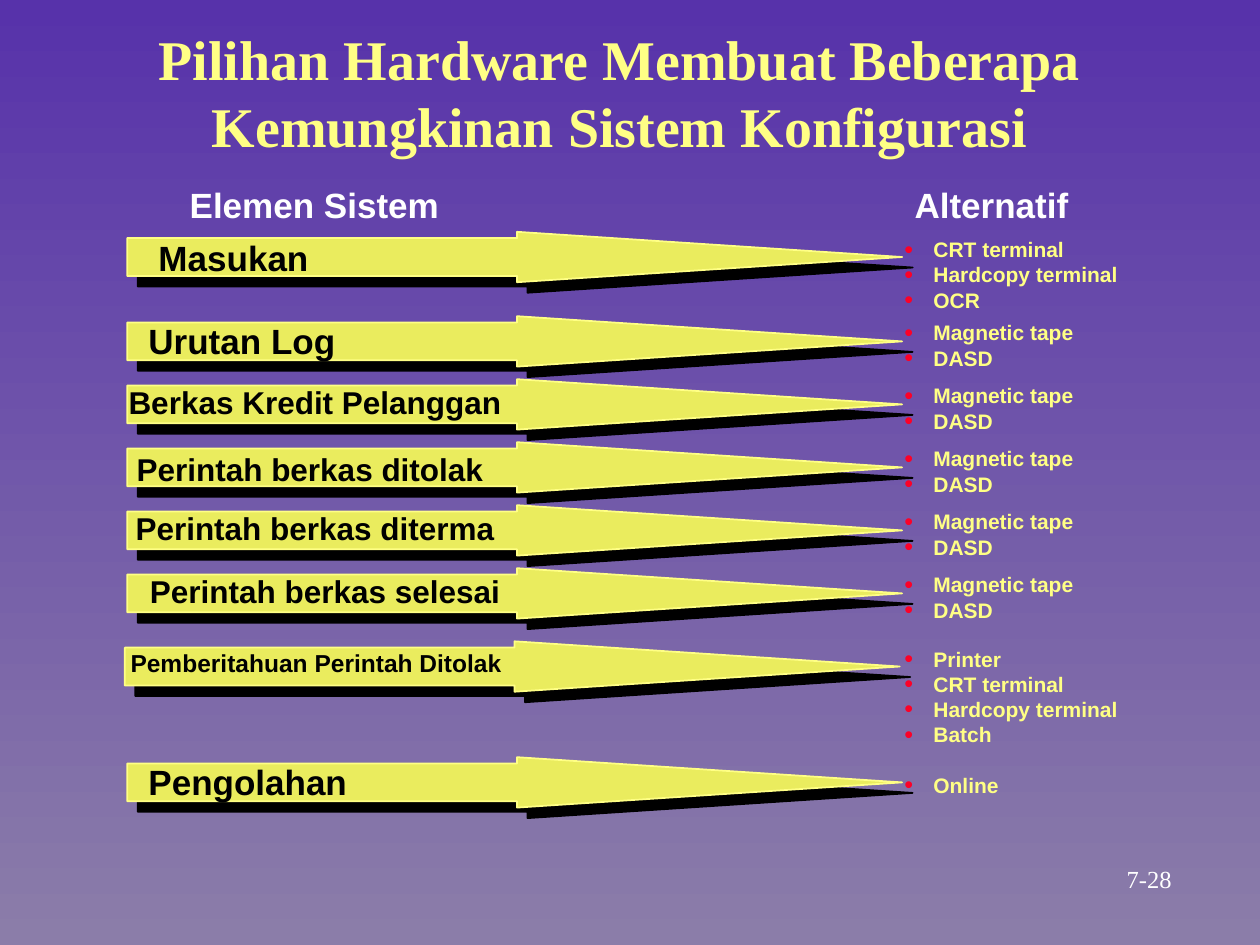
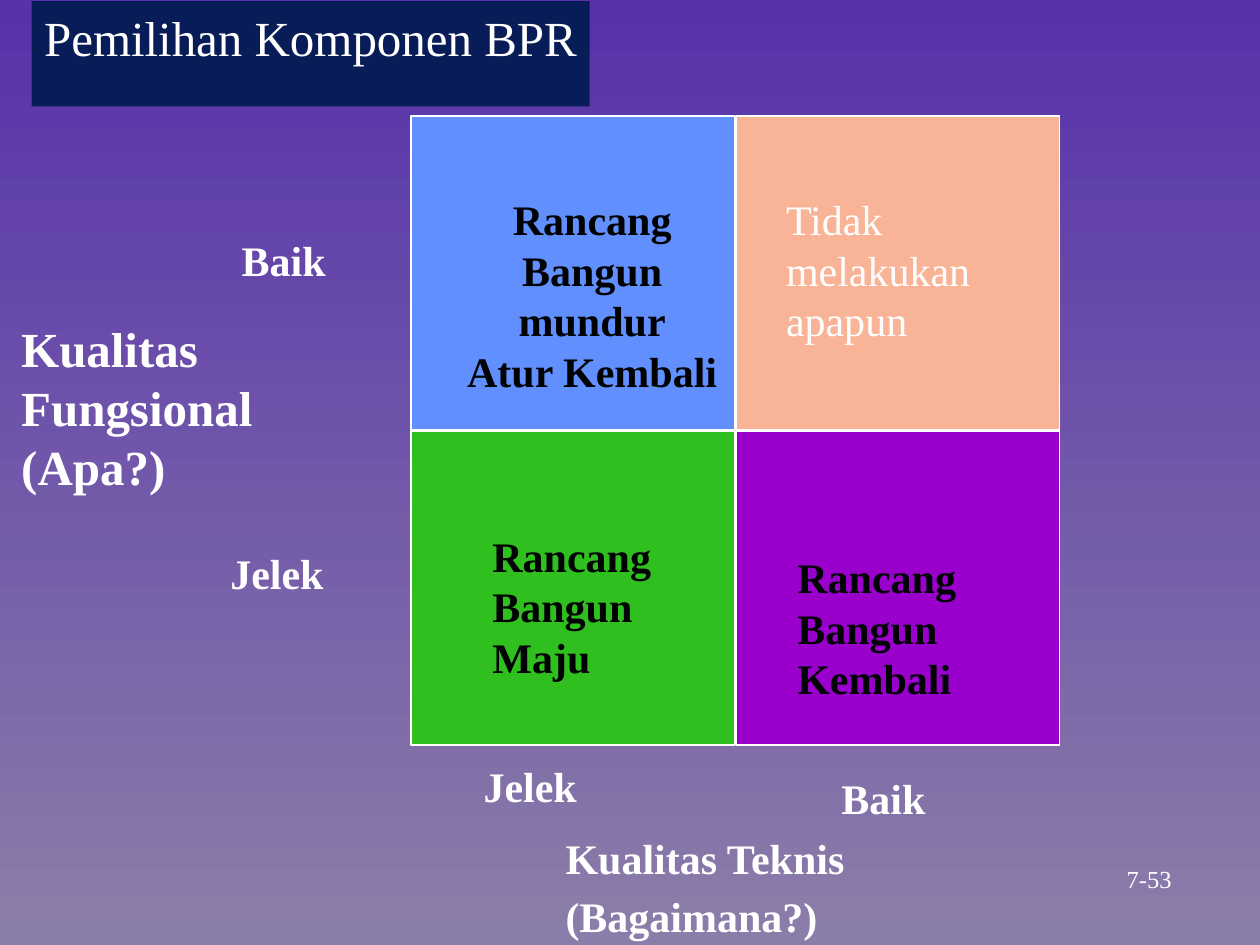
from lxml import etree
from pptx import Presentation
from pptx.dml.color import RGBColor
from pptx.enum.shapes import MSO_SHAPE
from pptx.enum.text import MSO_ANCHOR, MSO_AUTO_SIZE, PP_ALIGN
from pptx.oxml import parse_xml
from pptx.oxml.ns import nsdecls
from pptx.util import Pt

ARROW, RECT = MSO_SHAPE.RIGHT_ARROW, MSO_SHAPE.RECTANGLE
LEFT, CENTER = PP_ALIGN.LEFT, PP_ALIGN.CENTER
TOP, MIDDLE = MSO_ANCHOR.TOP, MSO_ANCHOR.MIDDLE
NO_FIT, FIT_SHAPE = MSO_AUTO_SIZE.NONE, MSO_AUTO_SIZE.SHAPE_TO_FIT_TEXT
SCALE = 9144
SANS, SERIF = "Arial", "Times New Roman"
COLORS = {
    "bg_top": "5732AA", "bg_bottom": "8B7DA9", "white": "FFFFFF",
    "black": "000000", "ink": "000102", "yellow": "FFFF85",
    "arrow": "EAEC5E", "bullet": "FC0128", "navy": "081D58",
    "blue": "618FFD", "peach": "F9B396", "green": "2FBF1E",
    "purple": "9900CC",
}
TAPE = ["Magnetic tape", "DASD"]
ELEMENTS = [
    (101, 184, "Masukan", 20, LEFT, (116, 183), 183,
     ["CRT terminal", "Hardcopy terminal", "OCR"]),
    (101, 251, "Urutan Log", 20, LEFT, (108, 249), 249, TAPE),
    (101, 301, "Berkas Kredit Pelanggan", 18, CENTER, (80, 299), 299, TAPE),
    (101, 351, "Perintah berkas ditolak", 18, CENTER, (76, 352), 349, TAPE),
    (101, 401, "Perintah berkas diterma", 18, CENTER, (80, 399), 399, TAPE),
    (101, 451, "Perintah berkas selesai", 18, CENTER, (88, 449), 449, TAPE),
    (99, 509, "Pemberitahuan Perintah Ditolak", 14, CENTER, (81, 509), 508,
     ["Printer", "CRT terminal", "Hardcopy terminal", "Batch"]),
    (101, 601, "Pengolahan", 20, LEFT, (108, 599), 608, ["Online"]),
]
QUADRANTS = [
    ("blue", ["Rancang Bangun mundur", "Atur Kembali"], (30, 57, 228, 170),
     {"color": "ink", "bold": True, "align": CENTER}),
    ("peach", ["Tidak melakukan apapun"], (30, 57, 227, 130), {}),
    ("green", ["Rancang Bangun Maju"], (55, 74, 203, 130),
     {"color": "ink", "bold": True}),
    ("purple", ["Rancang Bangun Kembali"], (39, 91, 210, 130),
     {"color": "ink", "bold": True}),
]
AXIS_LABELS = [
    (["Kualitas", "Fungsional", "(Apa?)"], (7, 248, 215, 150), 28, 0),
    (["Baik"], (182, 181, 120, 50), 24, 0),
    (["Jelek"], (173, 430, 120, 50), 24, 0),
    (["Jelek"], (374, 599, 120, 50), 24, 0),
    (["Baik"], (658, 608, 134, 50), 24, 0),
    (["Kualitas Teknis", "(Bagaimana?)"], (439, 656, 260, 96), 24, 4.5),
]


def px(*lengths):
    """Turn px lengths into a list of EMU."""
    return [n * SCALE for n in lengths]


def rgb(name):
    """Look up a palette colour."""
    return RGBColor.from_string(COLORS[name])


def add_bullet(p):
    """Give a paragraph a red bullet with a hanging indent."""
    pPr = p._p.get_or_add_pPr()
    for key, value in {"marL": 23 * SCALE, "indent": -23 * SCALE}.items():
        pPr.set(key, str(value))
    ns = nsdecls("a")
    for xml in (
        f'<a:buClr {ns}><a:srgbClr val="{COLORS["bullet"]}"/></a:buClr>',
        f'<a:buSzPct {ns} val="120000"/>',
        f'<a:buFont {ns} typeface="{SANS}"/>',
        f'<a:buChar {ns} char="•"/>',
    ):
        pPr.append(parse_xml(xml))


def write(sp, lines, size, font=SERIF, color="white", bold=False, align=LEFT,
          anchor=TOP, wrap=True, fit=FIT_SHAPE, bullets=False, gap=0):
    """Fill a shape with one formatted paragraph per line."""
    tf = sp.text_frame
    frame = {"word_wrap": wrap, "vertical_anchor": anchor, "auto_size": fit}
    for key, value in frame.items():
        setattr(tf, key, value)
    for i, line in enumerate(lines):
        p = tf.add_paragraph() if i else tf.paragraphs[0]
        p.alignment = align
        if i and gap:
            p.space_before = Pt(gap)
        if bullets:
            add_bullet(p)
        r = p.add_run()
        r.text = line
        for key, value in {"name": font, "size": Pt(size), "bold": bold}.items():
            setattr(r.font, key, value)
        r.font.color.rgb = rgb(color)


def add_text(s, box, lines, size, **style):
    """Add a text box."""
    write(s.shapes.add_textbox(*px(*box)), lines, size, **style)


def add_block(s, kind, box, fill, line):
    """Add a filled, outlined preset shape."""
    sp = s.shapes.add_shape(kind, *px(*box))
    sp.shadow.inherit = False
    sp.fill.solid()
    sp.fill.fore_color.rgb = rgb(fill)
    sp.line.color.rgb = rgb(line)
    sp.line.width = Pt(1)
    return sp


def add_slide(prs, title, box, number, size, **style):
    """Add a title-only slide with its title and page number."""
    s = prs.slides.add_slide(prs.slide_layouts[5])
    sp = s.shapes.title
    sp.left, sp.top, sp.width, sp.height = px(*box)
    write(sp, [title], size, **style)
    add_text(s, (853, 680, 118, 34), [number], 14, align=CENTER, anchor=MIDDLE)
    return s


def add_arrow(s, left, top):
    """Add a long arrow with a hard black shadow."""
    sp = add_block(s, ARROW, (left, top, 615, 40), "arrow", "yellow")
    sp.adjustments[0], sp.adjustments[1] = 0.75, 7.64
    effects = sp._element.spPr.find("{*}effectLst")
    shadow = etree.SubElement(effects, effects.tag.replace("effectLst", "outerShdw"),
                              dist=str(Pt(8.5)), dir="2700000", algn="ctr",
                              rotWithShape="0")
    etree.SubElement(shadow, effects.tag.replace("effectLst", "srgbClr"),
                     val=COLORS["black"])


def hardware_slide(prs):
    """Build the slide of system elements and hardware alternatives."""
    s = add_slide(prs, "Pilihan Hardware Membuat Beberapa Kemungkinan Sistem Konfigurasi",
                  (67, 10, 850, 125), "7-28", 32, color="yellow", bold=True,
                  align=CENTER, anchor=MIDDLE, fit=NO_FIT)
    heading = {"font": SANS, "bold": True}
    add_text(s, (99, 141, 301, 43), ["Elemen Sistem"], 20, align=CENTER, **heading)
    add_text(s, (716, 141, 251, 43), ["Alternatif"], 20, **heading)
    for left, top, *_ in ELEMENTS:
        add_arrow(s, left, top)
    for _, _, name, size, align, corner, list_top, options in ELEMENTS:
        add_text(s, (*corner, 340, 43), [name], size, color="black",
                 align=align, **heading)
        add_text(s, (708, list_top, 226, 10 + 20 * len(options)), options, 12,
                 color="yellow", bullets=True, **heading)


def add_matrix(s, left, top):
    """Add the two by two grid of quadrants."""
    for i, (fill, lines, (dx, dy, w, h), style) in enumerate(QUADRANTS):
        row, col = divmod(i, 2)
        x, y = left + 258 * col, top + 250 * row
        add_block(s, RECT, (x, y, 257, 249), fill, "white")
        add_text(s, (x + dx, y + dy, w, h), lines, 24, **style)


def component_slide(prs):
    """Build the slide of the BPR component matrix."""
    s = add_slide(prs, "Pemilihan Komponen BPR", (25, 1, 443, 56), "7-53", 28,
                  wrap=False)
    fill = s.shapes.title.fill
    fill.solid()
    fill.fore_color.rgb = rgb("navy")
    for lines, box, size, gap in AXIS_LABELS:
        add_text(s, box, lines, size, bold=True, gap=gap)
    add_matrix(s, 326, 92)


def main():
    """Build and save the presentation."""
    prs = Presentation()
    prs.slide_width, prs.slide_height = px(1000, 750)
    fill = prs.slide_master.background.fill
    fill.gradient()
    fill.gradient_angle = 270
    for stop, name in zip(fill.gradient_stops, ("bg_top", "bg_bottom")):
        stop.color.rgb = rgb(name)
    hardware_slide(prs)
    component_slide(prs)
    prs.save("out.pptx")


if __name__ == "__main__":
    main()
